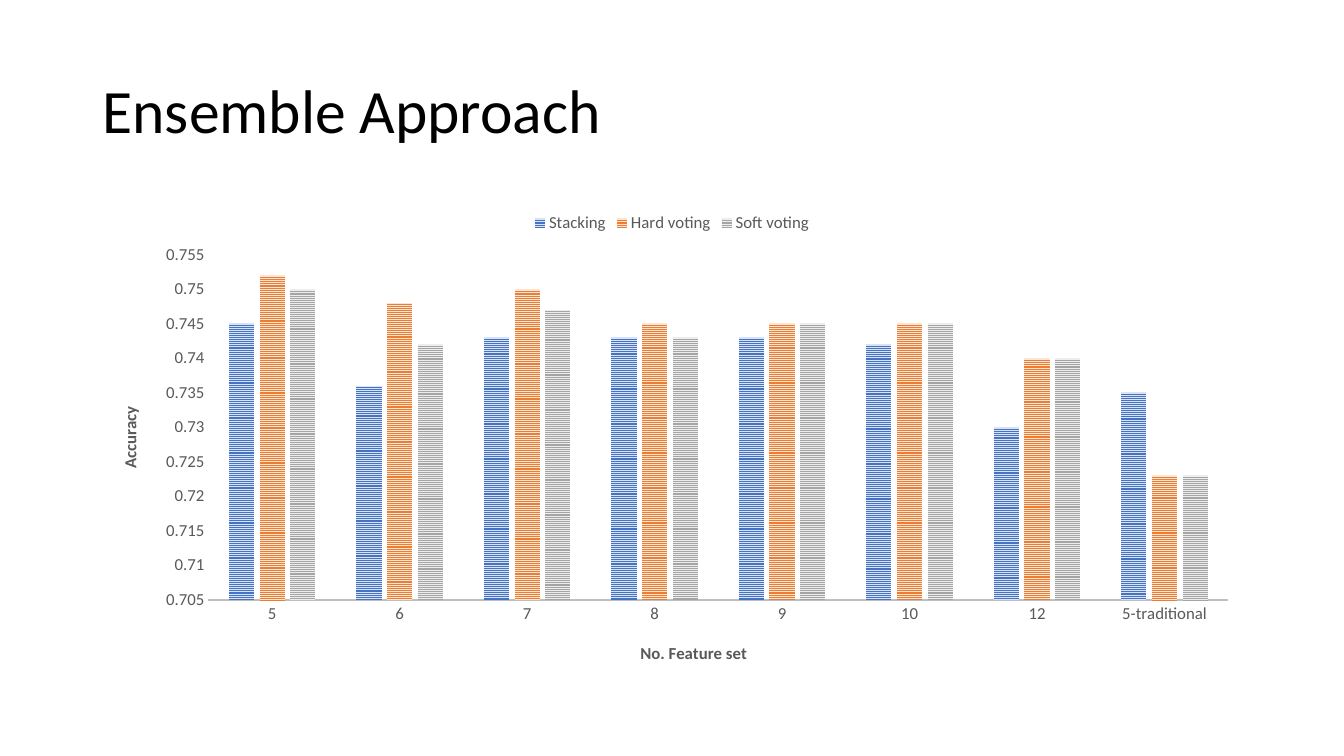
from pptx import Presentation
from pptx.chart.data import CategoryChartData
from pptx.dml.color import RGBColor
from pptx.enum.chart import XL_CHART_TYPE as CT, XL_LEGEND_POSITION as LP
from pptx.enum.chart import XL_TICK_MARK as TM
from pptx.enum.dml import MSO_PATTERN as PAT
from pptx.enum.text import MSO_ANCHOR as ANC, PP_ALIGN as AL
from pptx.oxml import parse_xml
from pptx.oxml.ns import nsdecls, qn
from pptx.util import Cm, Pt

FONT = "Calibri"
COLORS = {"title": "000000", "label": "595959", "axis": "BFBFBF"}
CATEGORIES = ["5", "6", "7", "8", "9", "10", "12", "5-traditional"]
# name: (stripe colour, background colour, accuracies)
SERIES = {
    "Stacking": ("4472C4", "DAE3F3",
                 [0.745, 0.736, 0.743, 0.743, 0.743, 0.742, 0.73, 0.735]),
    "Hard voting": ("ED7D31", "FBE5D6",
                    [0.752, 0.748, 0.75, 0.745, 0.745, 0.745, 0.74, 0.723]),
    "Soft voting": ("A5A5A5", "EDEDED",
                    [0.75, 0.742, 0.747, 0.743, 0.745, 0.745, 0.74, 0.723]),
}


def rgb(value):
    """Turn a hex string into a colour."""
    return RGBColor.from_string(value)


def set_all(obj, **values):
    """Set several attributes of an object."""
    for name, value in values.items():
        setattr(obj, name, value)


def style_font(font, size, color, bold=False):
    """Give a font its face, size, colour and weight."""
    set_all(font, name=FONT, size=Pt(size), bold=bold)
    font.color.rgb = rgb(color)


def place(el, index, **fractions):
    """Fix the layout of a chart part, in fractions of the chart."""
    for old in el.findall(qn("c:layout")):
        el.remove(old)
    target = '<c:layoutTarget val="inner"/>' if "w" in fractions else ""
    modes = "".join(f'<c:{k}Mode val="edge"/>' for k in "xy")
    sizes = "".join(f'<c:{k} val="{v}"/>' for k, v in fractions.items())
    el.insert(index, parse_xml(
        f'<c:layout {nsdecls("c")}><c:manualLayout>{target}{modes}{sizes}'
        '</c:manualLayout></c:layout>'))


def add_title(s, text):
    """Fill and place the title placeholder."""
    sp = s.shapes.title
    set_all(sp, left=Cm(2.33), top=Cm(1.01), width=Cm(29.21), height=Cm(3.68))
    tf = sp.text_frame
    tf.vertical_anchor = ANC.MIDDLE
    p = tf.paragraphs[0]
    set_all(p, alignment=AL.LEFT, line_spacing=0.9)
    r = p.add_run()
    r.text = text
    style_font(r.font, 44, COLORS["title"])


def style_axis(axis, title, x, y):
    """Format an axis and place its bold title."""
    set_all(axis, has_major_gridlines=False, major_tick_mark=TM.NONE,
            minor_tick_mark=TM.NONE)
    style_font(axis.tick_labels.font, 12, COLORS["label"])
    p = axis.axis_title.text_frame.paragraphs[0]
    r = p.add_run()
    r.text = title
    style_font(r.font, 12, COLORS["label"], bold=True)
    place(axis.axis_title.element, 1, x=x, y=y)


def add_column_chart(s):
    """Add the clustered columns with striped fills."""
    data = CategoryChartData()
    data.categories = CATEGORIES
    for name, (_, _, values) in SERIES.items():
        data.add_series(name, values)
    chart = s.shapes.add_chart(CT.COLUMN_CLUSTERED, Cm(2.33), Cm(5.08),
                               Cm(29.21), Cm(12.09), data).chart
    style_font(chart.font, 10, COLORS["title"])
    set_all(chart, has_title=False, has_legend=True)
    set_all(chart.legend, position=LP.TOP, include_in_layout=False)
    style_font(chart.legend.font, 12, COLORS["label"])

    plot = chart.plots[0]
    set_all(plot, gap_width=164, overlap=-22, vary_by_categories=False)
    for series, (stripe, ground, _) in zip(plot.series, SERIES.values()):
        fill = series.format.fill
        fill.patterned()
        fill.pattern = PAT.NARROW_HORIZONTAL
        fill.fore_color.rgb = rgb(stripe)
        fill.back_color.rgb = rgb(ground)
        series.format.line.fill.background()

    cat, val = chart.category_axis, chart.value_axis
    style_axis(cat, "No. Feature set", x=0.47, y=0.91)
    style_axis(val, "Accuracy", x=0.02, y=0.42)
    line = cat.format.line
    line.width = Pt(1.5)
    line.color.rgb = rgb(COLORS["axis"])
    val.format.line.fill.background()
    set_all(val, minimum_scale=0.705, maximum_scale=0.755, major_unit=0.005)
    set_all(val.tick_labels, number_format="General",
            number_format_is_linked=False)
    plot_area = chart.element.find(qn("c:chart")).find(qn("c:plotArea"))
    place(plot_area, 0, x=0.1, y=0.11, w=0.88, h=0.72)


def main():
    """Build and save the slide."""
    prs = Presentation()
    set_all(prs, slide_width=Cm(33.87), slide_height=Cm(19.05))
    s = prs.slides.add_slide(prs.slide_layouts[5])
    add_title(s, "Ensemble Approach")
    add_column_chart(s)
    prs.save("out.pptx")


main()
